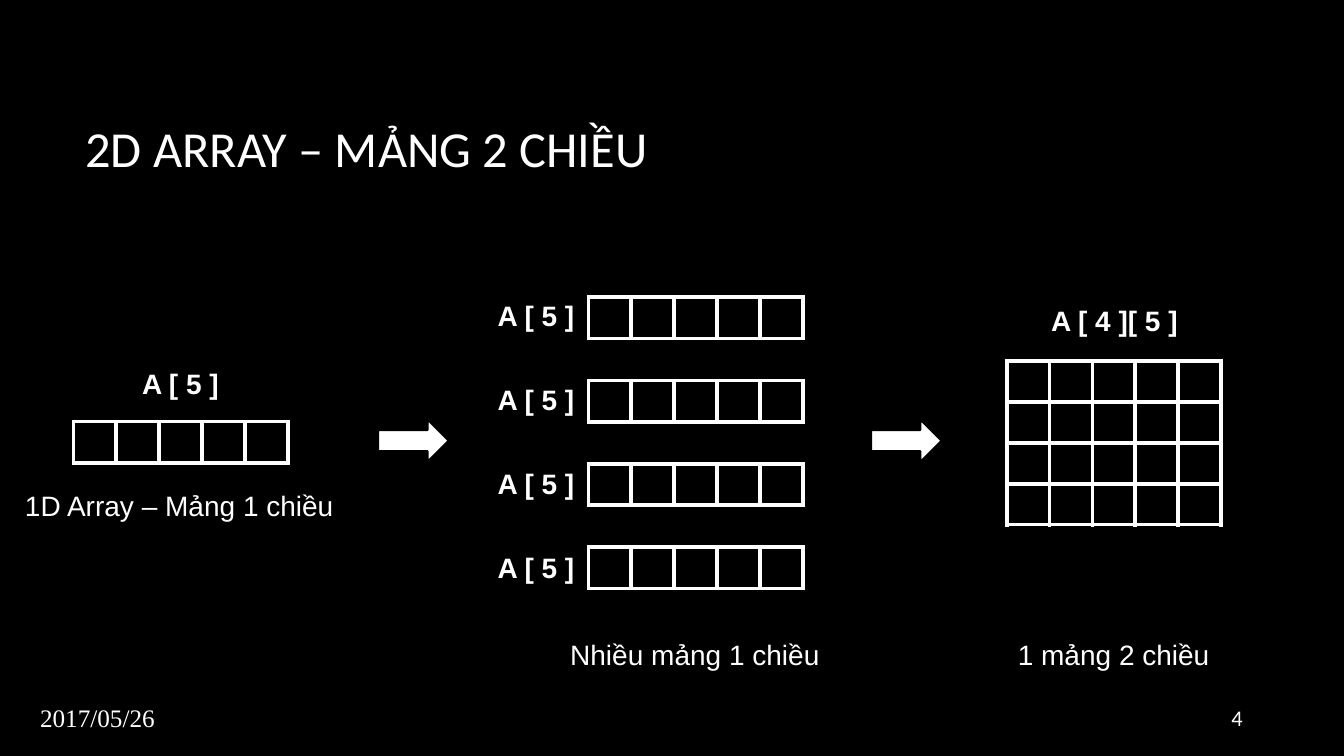
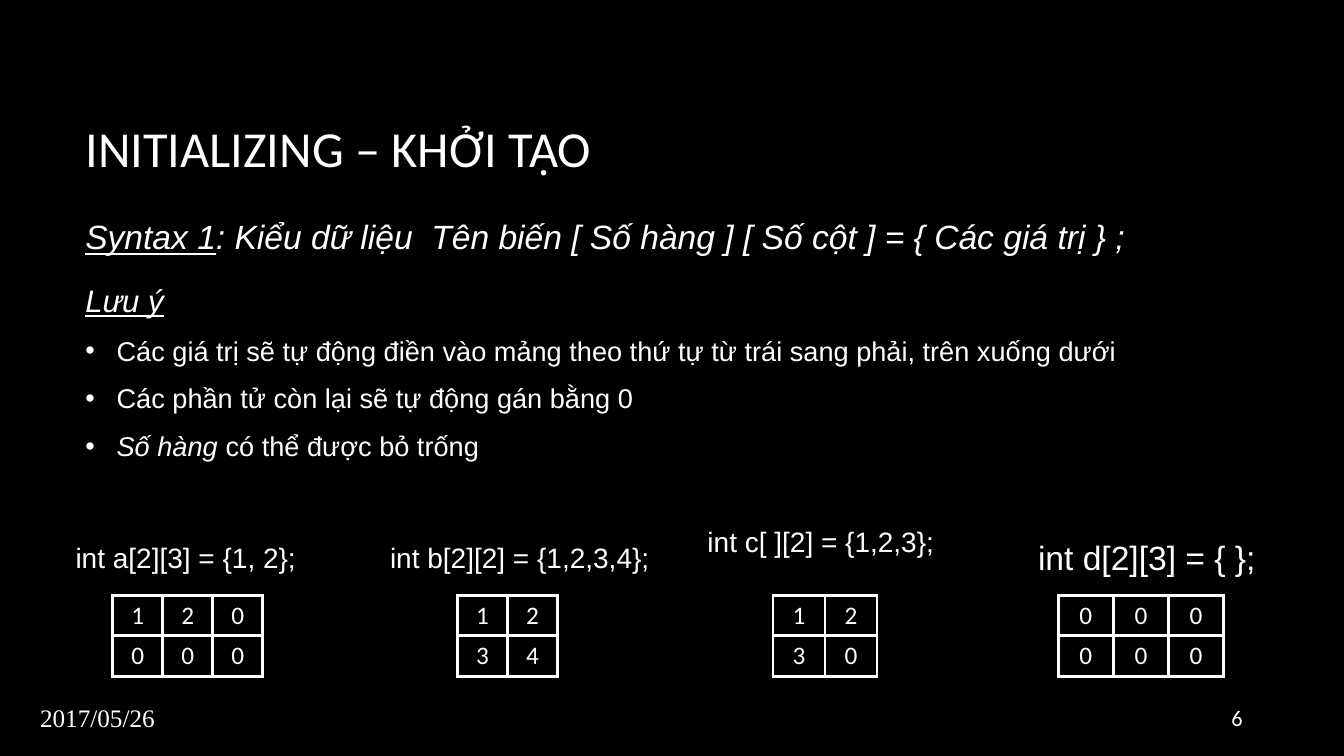
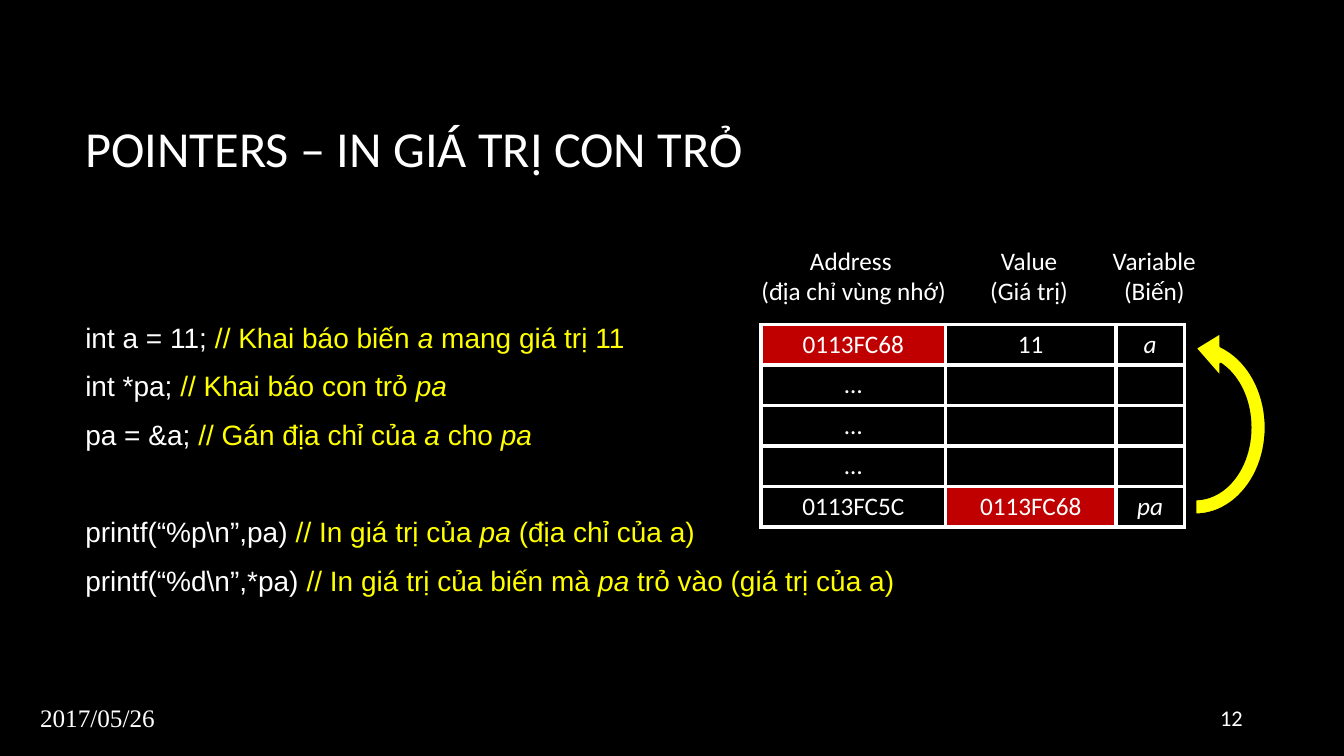
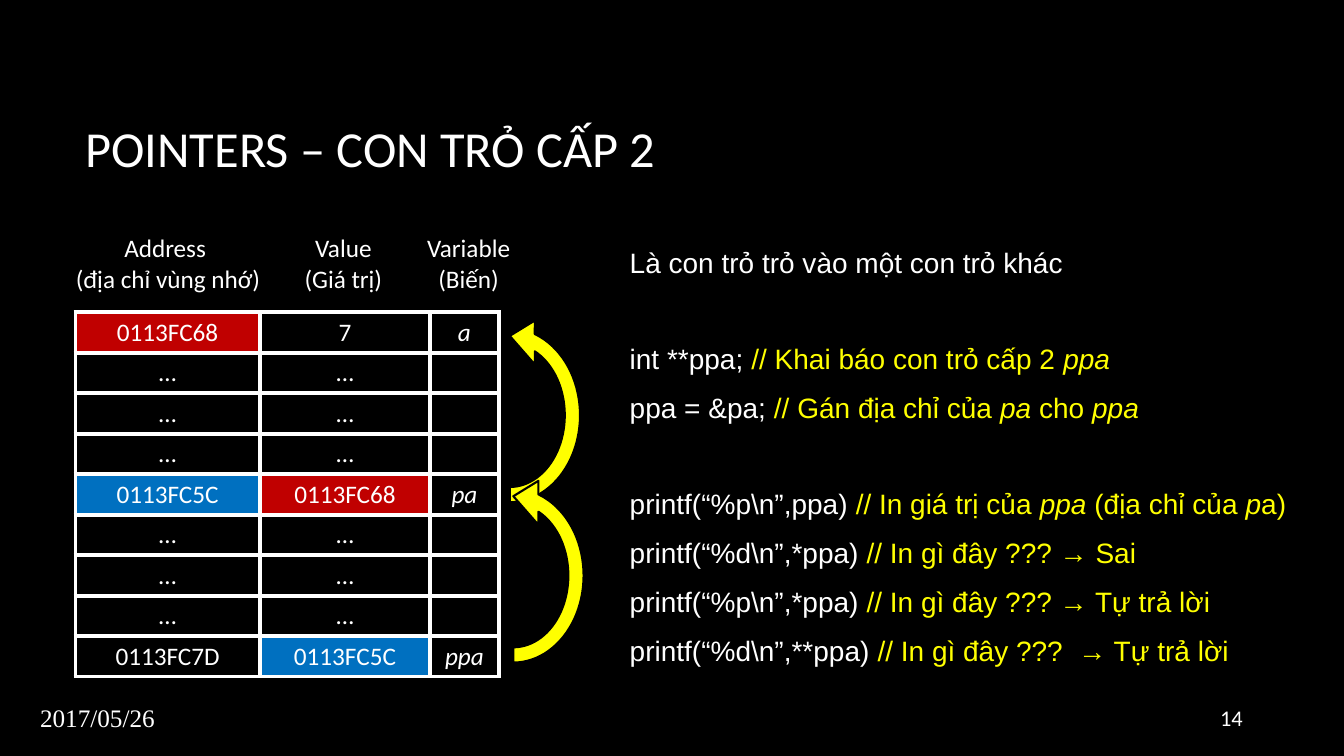
from lxml.etree import SubElement
from pptx import Presentation
from pptx.dml.color import RGBColor
from pptx.enum.shapes import MSO_SHAPE
from pptx.enum.text import MSO_ANCHOR, MSO_AUTO_SIZE, PP_ALIGN
from pptx.oxml.ns import qn
from pptx.util import Cm, Pt

WHITE, BLACK, YELLOW, RED, BLUE = "FFFFFF", "000000", "FFFF00", "C00000", "0070C0"

ARIAL = {"name": "Arial", "size": Pt(20)}
BOLD = {**ARIAL, "bold": True}
CALIBRI = {"name": "Calibri", "size": Pt(18)}
CENTERED = {"alignment": PP_ALIGN.CENTER}
SPACED = {"space_after": Pt(10), "line_spacing": 1.04}
NOTE = {"color": YELLOW}
NAME = {"color": YELLOW, "italic": True}
BLANK_LINE_GAP = Pt(44)


def write_text(frame, paragraphs, font, layout={}, wrap=True, anchor=MSO_ANCHOR.MIDDLE):
    frame.word_wrap = wrap
    frame.vertical_anchor = anchor
    frame.auto_size = MSO_AUTO_SIZE.NONE if wrap else MSO_AUTO_SIZE.SHAPE_TO_FIT_TEXT
    for index, content in enumerate(paragraphs):
        paragraph = frame.add_paragraph() if index else frame.paragraphs[0]
        for attribute, value in layout.items():
            setattr(paragraph, attribute, value)
        for text, style in [(content, {})] if isinstance(content, str) else content:
            for line_index, line in enumerate(text.split("\n")):
                if line_index:
                    paragraph.add_line_break()
                run = paragraph.add_run()
                run.text = line
                run_format = {"color": WHITE, **font, **style}
                run.font.color.rgb = RGBColor.from_string(run_format.pop("color"))
                for attribute, value in run_format.items():
                    setattr(run.font, attribute, value)
    return frame


def add_grid(slide, left, top, column_widths, row_height, rows, border):
    size = (sum(column_widths), row_height * len(rows))
    table = slide.shapes.add_table(
        len(rows), len(column_widths), Cm(left), Cm(top), *map(Cm, size)).table
    table.first_row = table.horz_banding = False
    for column, width in zip(table.columns, column_widths):
        column.width = Cm(width)
    for row, texts in zip(table.rows, rows):
        row.height = Cm(row_height)
        for cell, text in zip(row.cells, texts):
            cell.margin_top = cell.margin_bottom = Cm(0.1)
            cell.vertical_anchor = MSO_ANCHOR.MIDDLE
            if text:
                write_text(cell.text_frame, [text], CALIBRI, CENTERED)
            properties = cell._tc.get_or_add_tcPr()
            for side in ("a:lnL", "a:lnR", "a:lnT", "a:lnB"):
                line = SubElement(properties, qn(side), w=str(Pt(border)))
                SubElement(SubElement(line, qn("a:solidFill")), qn("a:srgbClr"), val=WHITE)
            cell.fill.background()
    return table


presentation = Presentation()
presentation.slide_width = Cm(33.87)
presentation.slide_height = Cm(19.05)
background = presentation.slide_master.background.fill
background.solid()
background.fore_color.rgb = RGBColor.from_string(BLACK)

slides = []
for title_text, number in [
    ("2D ARRAY – MẢNG 2 CHIỀU", "4"),
    ("INITIALIZING – KHỞI TẠO", "6"),
    ("POINTERS – IN GIÁ TRỊ CON TRỎ", "12"),
    ("POINTERS – CON TRỎ CẤP 2", "14"),
]:
    slide = presentation.slides.add_slide(presentation.slide_layouts[5])
    title = slide.shapes.title
    title.left, title.top, title.width, title.height = map(Cm, (1.9, 1.7, 28.14, 4.04))
    write_text(title.text_frame, [title_text], {"name": "Calibri", "size": Pt(36)},
               {"alignment": PP_ALIGN.LEFT})
    date_box = slide.shapes.add_textbox(Cm(0.76), Cm(17.55), Cm(21.74), Cm(1.04))
    write_text(date_box.text_frame, ["2017/05/26"],
               {"name": "Times New Roman", "size": Pt(18)})
    number_box = slide.shapes.add_textbox(Cm(30.05), Cm(17.55), Cm(1.52), Cm(1.04))
    write_text(number_box.text_frame, [number], {"name": "Calibri", "size": Pt(16)},
               {"alignment": PP_ALIGN.RIGHT})
    slides.append(slide)
array_slide, initializing_slide, pointer_slide, double_pointer_slide = slides

array_labels = [
    (3.33, 9.12, 2.46, "A [ 5 ]", BOLD),
    (0.38, 12.19, 8.36, "1D Array – Mảng 1 chiều", ARIAL),
    (14.12, 15.95, 6.86, "Nhiều mảng 1 chiều", ARIAL),
    (25.4, 15.95, 5.38, "1 mảng 2 chiều", ARIAL),
    (26.24, 7.52, 3.71, "A [ 4 ][ 5 ]", BOLD),
]
array_positions = [(1.85, 10.62)]
for index in range(4):
    array_labels.append((12.29, 7.39 + 2.12 * index, 2.46, "A [ 5 ]", BOLD))
    array_positions += [(14.83, 7.49 + 2.1 * index), (25.37, 9.09 + 1.03 * index)]
for left, top in array_positions:
    add_grid(array_slide, left, top, [1.08] * 5, 1.04, [[""] * 5], 3)
for left, top, width, text, font in array_labels:
    label = array_slide.shapes.add_textbox(Cm(left), Cm(top), Cm(width), Cm(1.12))
    write_text(label.text_frame, [text], font, wrap=False, anchor=MSO_ANCHOR.TOP)

block_arrows = [
    array_slide.shapes.add_shape(
        MSO_SHAPE.RIGHT_ARROW, Cm(left), Cm(10.57), Cm(1.78), Cm(1.07))
    for left in (9.53, 21.95)
]

syntax_box = initializing_slide.shapes.add_textbox(Cm(1.9), Cm(5), Cm(28.14), Cm(1.88))
write_text(syntax_box.text_frame, [[
    ("Syntax 1", {"underline": True}),
    (": Kiểu dữ liệu  Tên biến [ Số hàng ] [ Số cột ] = { Các giá trị } ;", {}),
]], {"name": "Arial", "size": Pt(24), "italic": True}, SPACED)

remarks_box = initializing_slide.shapes.add_textbox(Cm(1.9), Cm(7.09), Cm(28.14), Cm(4.52))
remarks = write_text(remarks_box.text_frame, [
    [("Lưu ý", {"size": Pt(22.2), "italic": True, "underline": True})],
    "Các giá trị sẽ tự động điền vào mảng theo thứ tự từ trái sang phải, trên xuống dưới",
    "Các phần tử còn lại sẽ tự động gán bằng 0",
    [("Số hàng ", {"italic": True}), ("có thể được bỏ trống", {})],
], {"name": "Arial", "size": Pt(19.4)}, SPACED)
for paragraph in remarks.paragraphs[1:]:
    properties = paragraph._p.get_or_add_pPr()
    properties.set("marL", str(Cm(0.79)))
    properties.set("indent", str(-Cm(0.79)))
    SubElement(properties, qn("a:buFont"), typeface="Arial")
    SubElement(properties, qn("a:buChar"), char="•")

for text, box, size, alignment, grid_left, column_width, rows in [
    ("int a[2][3] = {1, 2};", (1.55, 13.05, 6.27, 1.93), 20, PP_ALIGN.CENTER,
     2.84, 1.26, ["120", "000"]),
    ("int b[2][2] = {1,2,3,4};", (9.58, 13.05, 7.24, 1.93), 20, PP_ALIGN.LEFT,
     11.53, 1.26, ["12", "34"]),
    ("int c[ ][2] = {1,2,3};", (17.58, 12.67, 6.43, 1.93), 20, PP_ALIGN.LEFT,
     19.48, 1.31, ["12", "30"]),
    ("int d[2][3] = { };", (25.91, 13.05, 6.32, 1.93), 24, PP_ALIGN.LEFT,
     26.67, 1.39, ["000", "000"]),
]:
    declaration = initializing_slide.shapes.add_textbox(*map(Cm, box))
    write_text(declaration.text_frame, [text], {"name": "Arial", "size": Pt(size)},
               {**SPACED, "alignment": alignment})
    add_grid(initializing_slide, grid_left, 15, [column_width] * len(rows[0]), 1.02, rows, 2.25)

curved_arrows = []
for slide, left, top, rows, fills, arrow_offsets in [
    (pointer_slide, 19.18, 8.18,
     [("0113FC68", "11", "a")] + [("…", "", "")] * 3 + [("0113FC5C", "0113FC68", "pa")],
     {(0, 0): RED, (4, 1): RED}, [(8.39, 0.46)]),
    (double_pointer_slide, 1.9, 7.87,
     [("0113FC68", "7", "a")] + [("…", "…", "")] * 3 + [("0113FC5C", "0113FC68", "pa")]
     + [("…", "…", "")] * 3 + [("0113FC7D", "0113FC5C", "ppa")],
     {(0, 0): RED, (4, 1): RED, (4, 0): BLUE, (8, 1): BLUE}, [(8.39, 0.46), (8.48, 4.5)]),
]:
    for offset, width, heading in [
        (-0.28, 5.23, "Address \n(địa chỉ vùng nhớ)"),
        (5.51, 2.49, "Value\n(Giá trị)"),
        (8.59, 2.64, "Variable\n(Biến)"),
    ]:
        heading_box = slide.shapes.add_textbox(
            Cm(left + offset), Cm(top - 2.13), Cm(width), Cm(1.8))
        write_text(heading_box.text_frame, [heading], CALIBRI, CENTERED,
                   wrap=False, anchor=MSO_ANCHOR.TOP)
    memory = add_grid(slide, left, top, [4.65, 4.29, 1.73], 1.02, rows, 3)
    for position, color in fills.items():
        fill = memory.cell(*position).fill
        fill.solid()
        fill.fore_color.rgb = RGBColor.from_string(color)
    for row in memory.rows:
        for run in row.cells[2].text_frame.paragraphs[0].runs:
            run.font.italic = True
    for across, down in arrow_offsets:
        arrow = slide.shapes.add_shape(
            MSO_SHAPE.CIRCULAR_ARROW, Cm(left + across), Cm(top + down), Cm(5.11), Cm(4.27))
        arrow.rotation = 270
        arrow.element.spPr.xfrm.set("flipV", "1")
        for index, value in enumerate((0.09, 11.42, 204.58, 108, 0.13)):
            arrow.adjustments[index] = value
        curved_arrows.append(arrow)

for arrows, color in [(block_arrows, WHITE), (curved_arrows, YELLOW)]:
    for arrow in arrows:
        arrow.shadow.inherit = False
        arrow.fill.solid()
        arrow.fill.fore_color.rgb = RGBColor.from_string(color)
        arrow.line.color.rgb = RGBColor.from_string(BLACK)
        arrow.line.width = Pt(1.5)

pointer_box = pointer_slide.shapes.add_textbox(Cm(1.9), Cm(7.29), Cm(22.38), Cm(9.7))
pointer_code = write_text(pointer_box.text_frame, [
    [("int a = 11; ", {}), ("// Khai báo biến ", NOTE), ("a ", NAME), ("mang giá trị 11", NOTE)],
    [("int *pa; ", {}), ("// Khai báo con trỏ ", NOTE), ("pa", NAME)],
    [("pa = &a; ", {}), ("// Gán địa chỉ của ", NOTE), ("a ", NAME), ("cho ", NOTE), ("pa", NAME)],
    [("printf(“%p\\n”,pa) ", {}), ("// In giá trị của ", NOTE), ("pa ", NAME),
     ("(địa chỉ của a)", NOTE)],
    [("printf(“%d\\n”,*pa) ", {}), ("// In giá trị của biến mà ", NOTE), ("pa ", NAME),
     ("trỏ vào (giá trị của a)", NOTE)],
], ARIAL, SPACED)
pointer_code.margin_bottom = Cm(1.33)
pointer_code.paragraphs[2].space_after = BLANK_LINE_GAP

double_pointer_box = double_pointer_slide.shapes.add_textbox(
    Cm(15.62), Cm(5.74), Cm(17.22), Cm(11.48))
double_pointer_code = write_text(double_pointer_box.text_frame, [
    "Là con trỏ trỏ vào một con trỏ khác",
    [("int **ppa; ", {}), ("// Khai báo con trỏ cấp 2 ", NOTE), ("ppa", NAME)],
    [("ppa = &pa; ", {}), ("// Gán địa chỉ của ", NOTE), ("pa ", NAME), ("cho ", NOTE),
     ("ppa", NAME)],
    [("printf(“%p\\n”,ppa) ", {}), ("// In giá trị của ", NOTE), ("ppa ", NAME),
     ("(địa chỉ của ", NOTE), ("p", NAME), ("a)", NOTE)],
    [("printf(“%d\\n”,*ppa) ", {}), ("// In gì đây ??? → Sai", NOTE)],
    [("printf(“%p\\n”,*ppa) ", {}), ("// In gì đây ??? → Tự trả lời", NOTE)],
    [("printf(“%d\\n”,**ppa) ", {}), ("// In gì đây ???  → Tự trả lời", NOTE)],
], ARIAL, SPACED)
for index in (0, 2):
    double_pointer_code.paragraphs[index].space_after = BLANK_LINE_GAP

presentation.save("out.pptx")
